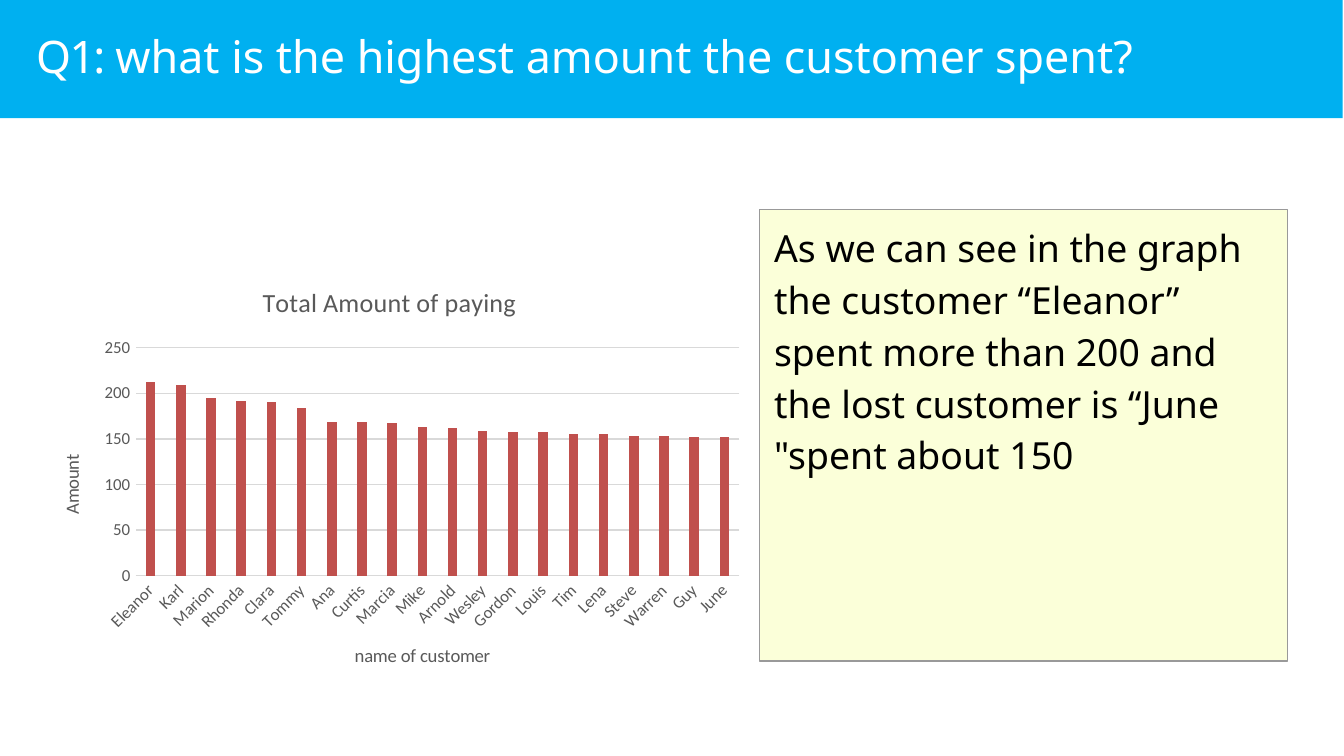
"""Build a slide with a title band, a customer spending chart and a note panel."""
from dataclasses import dataclass

from pptx import Presentation
from pptx.chart.data import CategoryChartData
from pptx.dml.color import RGBColor
from pptx.enum.chart import XL_CHART_TYPE, XL_TICK_MARK
from pptx.enum.shapes import MSO_SHAPE
from pptx.enum.text import MSO_ANCHOR, PP_ALIGN
from pptx.oxml import parse_xml
from pptx.oxml.ns import nsdecls, qn
from pptx.util import Inches, Pt


@dataclass(frozen=True)
class Theme:
    """Colours, fonts and type sizes of the slide."""
    band: RGBColor = RGBColor(0x00, 0xB0, 0xF0)
    white: RGBColor = RGBColor(0xFF, 0xFF, 0xFF)
    black: RGBColor = RGBColor(0x00, 0x00, 0x00)
    panel: RGBColor = RGBColor(0xFB, 0xFF, 0xD9)
    border: RGBColor = RGBColor(0x99, 0x99, 0x99)
    bar: RGBColor = RGBColor(0xC0, 0x50, 0x4D)
    grid: RGBColor = RGBColor(0xD9, 0xD9, 0xD9)
    label: RGBColor = RGBColor(0x59, 0x59, 0x59)
    text_font: str = "Noto Sans"
    chart_font: str = "Calibri"
    title: int = 24
    body: int = 20
    chart_title: int = 14
    axis_title: int = 10
    tick: int = 9


THEME = Theme()
SPENDING = {
    "Eleanor": 212, "Karl": 209, "Marion": 195, "Rhonda": 192, "Clara": 190,
    "Tommy": 184, "Ana": 168, "Curtis": 168, "Marcia": 167, "Mike": 163,
    "Arnold": 162, "Wesley": 159, "Gordon": 158, "Louis": 157, "Tim": 155,
    "Lena": 155, "Steve": 153, "Warren": 153, "Guy": 152, "June": 152,
}


def style_font(font, size, color, name):
    """Set size, colour and typeface of a font in regular weight."""
    font.size, font.name, font.bold = Pt(size), name, False
    font.color.rgb = color


def add_panel(s, x, y, w, h, fill, line=None):
    """Add a flat rectangle with an optional thin border."""
    sp = s.shapes.add_shape(MSO_SHAPE.RECTANGLE, Inches(x), Inches(y), Inches(w), Inches(h))
    sp.shadow.inherit = False
    sp.fill.solid()
    sp.fill.fore_color.rgb = fill
    if line is None:
        sp.line.fill.background()
    else:
        sp.line.color.rgb, sp.line.width = line, Pt(0.75)
    return sp


def write(tf, parts, size, color):
    """Write the parts as runs of one left-aligned paragraph at the top."""
    tf.margin_left = tf.margin_top = Inches(0.01)
    tf.margin_right = tf.margin_bottom = 0
    tf.vertical_anchor, tf.word_wrap = MSO_ANCHOR.TOP, True
    p = tf.paragraphs[0]
    p.alignment = PP_ALIGN.LEFT
    for part in parts:
        r = p.add_run()
        r.text = part
        style_font(r.font, size, color, THEME.text_font)
    return p


def add_title_band(s, x, y, w, h, number, question):
    """Place the title placeholder on a full-width colour band."""
    band = add_panel(s, x, y, w, h, THEME.band)
    title = s.shapes.title
    band.element.addnext(title.element)
    title.left, title.top = Inches(x + 0.26), Inches(y + 0.2)
    title.width, title.height = Inches(w - 0.98), Inches(0.43)
    p = write(title.text_frame, (number, question), THEME.title, THEME.white)
    p.runs[0].font._element.set("spc", "-90")


def add_note(s, x, y, w, h, text):
    """Add the bordered panel with the finding."""
    add_panel(s, x, y, w, h, THEME.panel, THEME.border)
    box = s.shapes.add_textbox(Inches(x + 0.1), Inches(y + 0.05), Inches(w - 0.29), Inches(1.93))
    write(box.text_frame, (text,), THEME.body, THEME.black).line_spacing = 1.16


def place(element, index, target=None, **fractions):
    """Give a chart part a manual layout in fractions of the chart."""
    for old in element.findall(qn("c:layout")):
        element.remove(old)
    inner = f'<c:layoutTarget val="{target}"/>' if target else ""
    modes = "".join(f'<c:{k}Mode val="edge"/>' for k in ("x", "y"))
    values = "".join(f'<c:{k} val="{v}"/>' for k, v in fractions.items())
    element.insert(index, parse_xml(
        f'<c:layout {nsdecls("c")}><c:manualLayout>{inner}{modes}{values}'
        "</c:manualLayout></c:layout>"))


def set_chart_title(title, text, size, x, y):
    """Write a chart or axis title and place it."""
    title.text_frame.text = text
    run = title.text_frame.paragraphs[0].runs[0]
    style_font(run.font, size, THEME.label, THEME.chart_font)
    place(title._element, 1, x=x, y=y)


def style_axis(axis, text, x, y):
    """Style the labels, tick marks and title of an axis."""
    axis.major_tick_mark = axis.minor_tick_mark = XL_TICK_MARK.NONE
    style_font(axis.tick_labels.font, THEME.tick, THEME.label, THEME.chart_font)
    set_chart_title(axis.axis_title, text, THEME.axis_title, x, y)


def add_spending_chart(s, x, y, w, h):
    """Add the column chart of spending by customer."""
    data = CategoryChartData()
    data.categories = list(SPENDING)
    data.add_series("Series 1", list(SPENDING.values()))
    chart = s.shapes.add_chart(XL_CHART_TYPE.COLUMN_CLUSTERED, Inches(x), Inches(y),
                               Inches(w), Inches(h), data).chart
    style_font(chart.font, THEME.axis_title, THEME.black, THEME.chart_font)
    chart.has_legend = False
    set_chart_title(chart.chart_title, "Total Amount of paying", THEME.chart_title, 0.31, 0.03)

    plot = chart.plots[0]
    plot.gap_width, plot.overlap, plot.vary_by_categories = 219, -27, False
    fill = plot.series[0].format.fill
    fill.solid()
    fill.fore_color.rgb = THEME.bar
    place(chart.element.find(".//" + qn("c:plotArea")), 0, "inner",
          x=0.14, y=0.19, w=0.84, h=0.53)

    names, amounts = chart.category_axis, chart.value_axis
    style_axis(names, "name of customer", 0.44, 0.87)
    style_axis(amounts, "Amount", 0.03, 0.43)
    body = names._element.find(qn("c:txPr")).find(qn("a:bodyPr"))
    body.set("rot", "-2700000")
    body.set("vert", "horz")
    amounts.minimum_scale, amounts.maximum_scale, amounts.major_unit = 0, 250, 50
    amounts.format.line.fill.background()
    for line in (names.format.line, amounts.major_gridlines.format.line):
        line.color.rgb, line.width = THEME.grid, Pt(0.75)


def main():
    """Build and save the slide."""
    prs = Presentation()
    prs.slide_width = Inches(10)
    prs.slide_height = prs.slide_width * 9 // 16
    s = prs.slides.add_slide(prs.slide_layouts[5])
    add_note(s, 5.65, 1.56, 3.93, 3.36,
             "As we can see in the graph the customer “Eleanor” spent more than 200 "
             "and the lost customer is “June \"spent about 150")
    add_title_band(s, 0, 0, 9.99, 0.88, "Q1: ", "what is the highest amount the customer spent?")
    add_spending_chart(s, 0.26, 1.98, 5.35, 3.2)
    prs.save("out.pptx")


if __name__ == "__main__":
    main()
